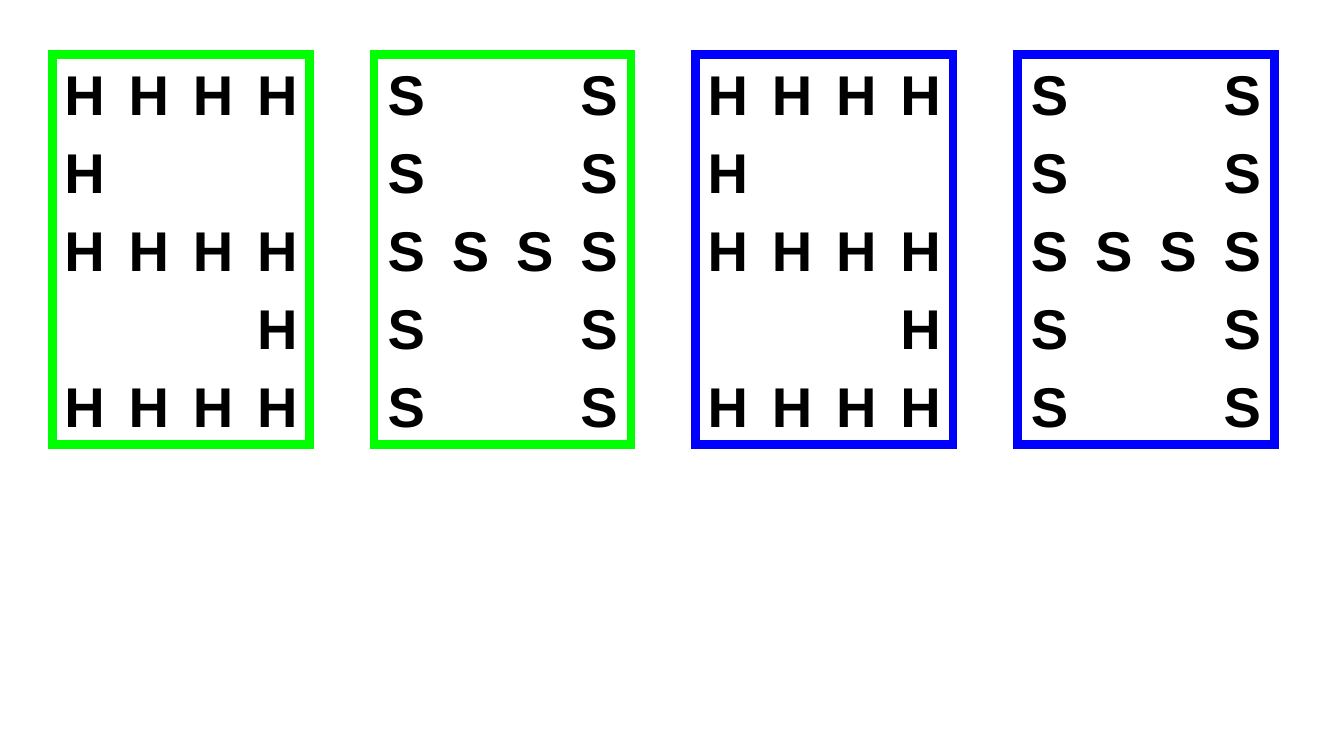
from lxml import etree
from pptx import Presentation
from pptx.dml.color import RGBColor
from pptx.enum.shapes import MSO_SHAPE
from pptx.enum.text import MSO_ANCHOR, MSO_AUTO_SIZE, PP_ALIGN
from pptx.oxml.ns import qn
from pptx.util import Inches, Pt

RECTANGLE = MSO_SHAPE.RECTANGLE
MIDDLE = MSO_ANCHOR.MIDDLE
FIT_SHAPE = MSO_AUTO_SIZE.SHAPE_TO_FIT_TEXT
CENTER = PP_ALIGN.CENTER

COLORS = {"green": "00FF00", "blue": "0000FF", "white": "FFFFFF", "black": "000000"}

# Each large letter is drawn with copies of the other, small letter.
LARGE_S = ("HHHH", "H   ", "HHHH", "   H", "HHHH")
LARGE_H = ("S  S", "S  S", "SSSS", "S  S", "S  S")
CARDS = ((LARGE_S, "green"), (LARGE_H, "green"), (LARGE_S, "blue"), (LARGE_H, "blue"))

CARD_LEFT, CARD_TOP = 0.52, 0.54
CARD_WIDTH, CARD_HEIGHT = 2.55, 3.87
CARD_PITCH = 3.19


def rgb(name):
    return RGBColor.from_string(COLORS[name])


def add_frame(group, left, top, width, height, color):
    frame = group.shapes.add_shape(
        RECTANGLE, Inches(left), Inches(top), Inches(width), Inches(height))
    frame.shadow.inherit = False
    frame.fill.solid()
    frame.fill.fore_color.rgb = rgb("white")
    frame.line.color.rgb = rgb(color)
    frame.line.width = Pt(6)
    # Square corners
    line = frame.element.spPr.find(qn("a:ln"))
    etree.SubElement(line, qn("a:miter"), lim="800000")


def add_letter(group, letter, left, top, width, height):
    box = group.shapes.add_textbox(
        Inches(left), Inches(top), Inches(width), Inches(height))
    text_frame = box.text_frame
    text_frame.word_wrap = False
    text_frame.auto_size = FIT_SHAPE
    text_frame.vertical_anchor = MIDDLE
    paragraph = text_frame.paragraphs[0]
    paragraph.text = letter
    paragraph.alignment = CENTER
    paragraph.font.name = "Arial"
    paragraph.font.size = Pt(40)
    paragraph.font.bold = True
    paragraph.font.color.rgb = rgb("black")


def add_card(slide, pattern, color, left, top, width, height):
    """Group a frame with the grid of small letters that fills it."""
    group = slide.shapes.add_group_shape()
    add_frame(group, left, top, width, height, color)
    cell_width = width / len(pattern[0])
    cell_height = height / len(pattern)
    for row, letters in enumerate(pattern):
        for column, letter in enumerate(letters):
            if letter != " ":
                add_letter(group, letter, left + column * cell_width,
                           top + row * cell_height, cell_width, cell_height)


def main():
    presentation = Presentation()
    presentation.slide_width = Inches(13.33)
    presentation.slide_height = Inches(7.5)
    slide = presentation.slides.add_slide(presentation.slide_layouts[6])
    for index, (pattern, color) in enumerate(CARDS):
        add_card(slide, pattern, color, CARD_LEFT + index * CARD_PITCH, CARD_TOP,
                 CARD_WIDTH, CARD_HEIGHT)
    presentation.save("out.pptx")


if __name__ == "__main__":
    main()
